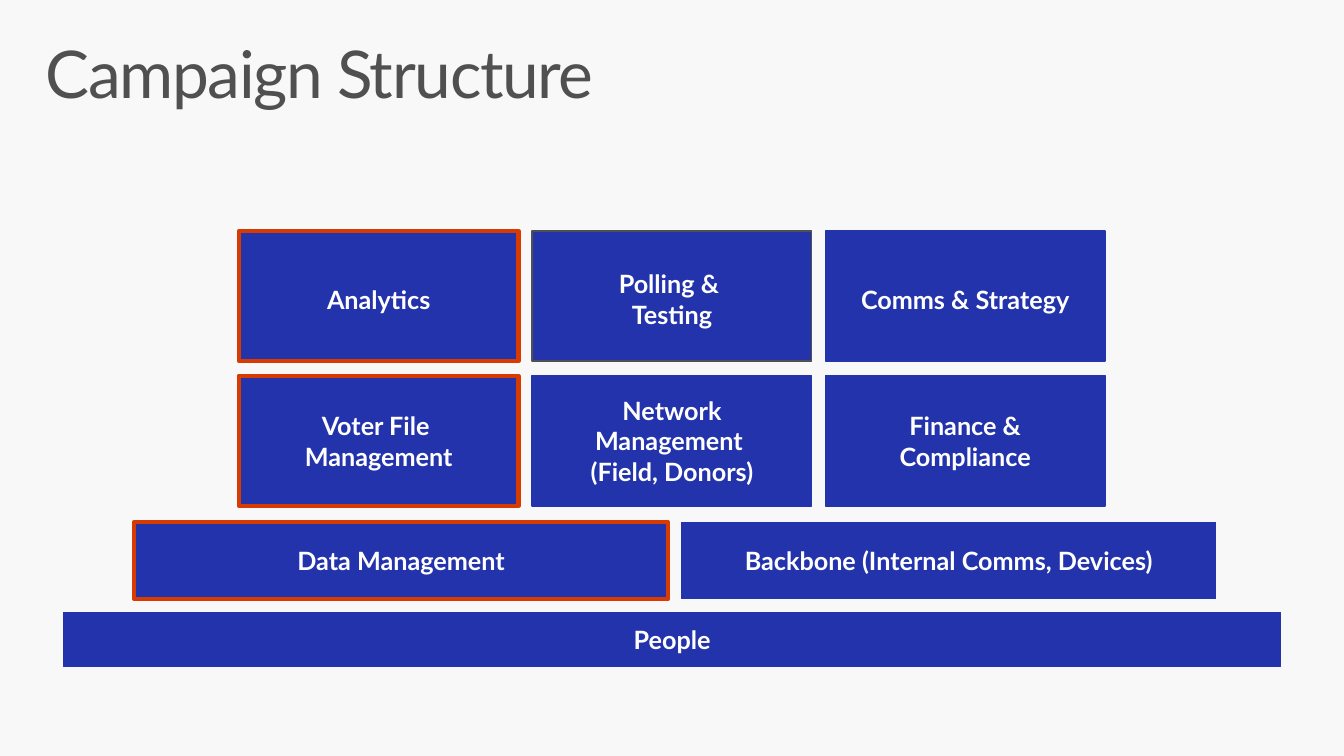
from dataclasses import dataclass

from pptx import Presentation
from pptx.dml.color import RGBColor
from pptx.enum.shapes import MSO_SHAPE
from pptx.enum.text import MSO_ANCHOR, PP_ALIGN
from pptx.slide import Slide
from pptx.text.text import _Paragraph
from pptx.util import Cm, Pt

RECT = MSO_SHAPE.RECTANGLE
TOP, MIDDLE = MSO_ANCHOR.TOP, MSO_ANCHOR.MIDDLE
CENTER = PP_ALIGN.CENTER

FONT = "Lato"
PAPER, GRAY, BLUE, RED, WHITE = "F8F8F8", "505050", "2333AB", "D83B01", "FFFFFF"


@dataclass
class Block:
    lines: list[str]
    edge: str = BLUE
    weight: float = 0.85


@dataclass
class Row:
    """A row of equal blocks; lengths in cm."""
    left: float
    top: float
    width: float
    height: float
    blocks: list[Block]
    drop: float = 0  # extra top inset of the labels


GAP = 0.34  # between blocks side by side

ROWS = [
    Row(6.02, 5.82, 7.05, 3.28, [
        Block(["Analytics"], RED, 3),
        Block(["Polling & ", "Testing"], GRAY, 1),
        Block(["Comms & Strategy"]),
    ], 0.15),
    Row(6.02, 9.47, 7.05, 3.28, [
        Block(["Voter File ", "Management"], RED, 3),
        Block(["Network", "Management ", "(Field, Donors)"]),
        Block(["Finance &", "Compliance"]),
    ]),
    Row(3.38, 13.16, 13.46, 1.93, [
        Block(["Data Management"], RED, 3),
        Block(["Backbone (Internal Comms, Devices)"]),
    ]),
    Row(1.6, 15.44, 30.68, 1.35, [Block(["People"])]),
]


def color(code: str) -> RGBColor:
    return RGBColor.from_string(code)


def add_run(para: _Paragraph, text: str, size: float, code: str,
            bold: bool = False, space: int = 0) -> None:
    run = para.add_run()
    run.text = text
    font = run.font
    font.name, font.size, font.bold = FONT, Pt(size), bold
    font.color.rgb = color(code)
    if space:  # hundredths of a point
        run._r.get_or_add_rPr().set("spc", str(space))


def draw_title(slide: Slide, text: str) -> None:
    box = slide.shapes.add_textbox(Cm(0.74), Cm(0.81), Cm(32.39), Cm(2.49))
    frame = box.text_frame
    frame.word_wrap = True
    frame.vertical_anchor = TOP
    frame.margin_left = frame.margin_right = Cm(0.41)
    frame.margin_top = frame.margin_bottom = Cm(0.25)
    para = frame.paragraphs[0]
    para.line_spacing = 0.9
    add_run(para, text, 47, GRAY, space=-100)


def draw_block(slide: Slide, block: Block, row: Row, left: float) -> None:
    shape = slide.shapes.add_shape(
        RECT, Cm(left), Cm(row.top), Cm(row.width), Cm(row.height))
    shape.shadow.inherit = False
    shape.fill.solid()
    shape.fill.fore_color.rgb = color(BLUE)
    shape.line.color.rgb = color(block.edge)
    shape.line.width = Pt(block.weight)

    frame = shape.text_frame
    frame.word_wrap = True
    frame.vertical_anchor = MIDDLE
    frame.margin_top, frame.margin_bottom = Cm(row.drop), Cm(0)
    for i, line in enumerate(block.lines):
        para = frame.add_paragraph() if i else frame.paragraphs[0]
        para.alignment = CENTER
        add_run(para, line, 18, WHITE, bold=True)


def draw_row(slide: Slide, row: Row) -> None:
    for i, block in enumerate(row.blocks):
        draw_block(slide, block, row, row.left + i * (row.width + GAP))


def main() -> None:
    deck = Presentation()
    deck.slide_width, deck.slide_height = Cm(33.87), Cm(19.05)
    slide = deck.slides.add_slide(deck.slide_layouts[6])
    slide.background.fill.solid()
    slide.background.fill.fore_color.rgb = color(PAPER)

    # Heading, then the pyramid from top to base
    draw_title(slide, "Campaign Structure")
    for row in ROWS:
        draw_row(slide, row)
    deck.save("out.pptx")


if __name__ == "__main__":
    main()
